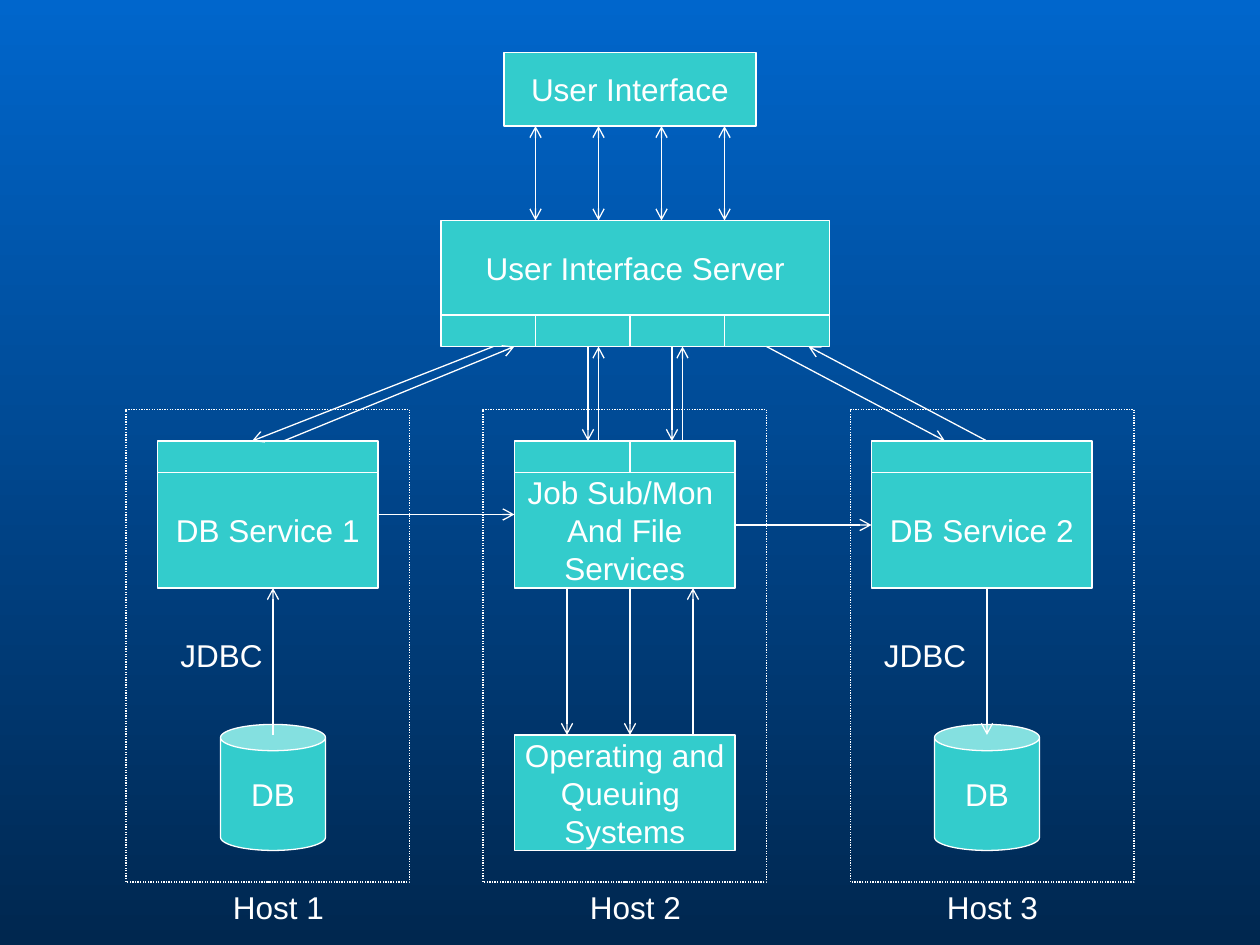
"""Build a slide of a three-host service architecture."""
from lxml.etree import SubElement
from pptx import Presentation
from pptx.dml.color import RGBColor
from pptx.enum.dml import MSO_LINE as DASH
from pptx.enum.shapes import MSO_CONNECTOR as CONN, MSO_SHAPE as SHAPE
from pptx.enum.text import MSO_ANCHOR as ANCHOR, PP_ALIGN as ALIGN
from pptx.oxml.ns import qn
from pptx.util import Pt

rgb = RGBColor.from_string
WHITE, TEAL = "FFFFFF", "33CCCC"

prs = Presentation()
prs.slide_width, prs.slide_height = Pt(720), Pt(540)
slide = prs.slides.add_slide(prs.slide_layouts[6])

bg = slide.background.fill
bg.gradient()
bg.gradient_angle = 270
for stop, pos, color in zip(bg.gradient_stops, (0, 1), ("0066CC", "00274F")):
    stop.position = pos
    stop.color.rgb = rgb(color)


def add_box(x, y, w, h, text="", kind=SHAPE.RECTANGLE):
    at = Pt(x), Pt(y), Pt(w), Pt(h)
    if kind is None:
        s = slide.shapes.add_textbox(*at)
    else:
        s = slide.shapes.add_shape(kind, *at)
        s.shadow.inherit = False
        s.fill.solid()
        s.fill.fore_color.rgb = rgb(TEAL)
        s.line.color.rgb = rgb(WHITE)
        s.line.width = Pt(0.75)
    if text:
        tf = s.text_frame
        tf.word_wrap = kind is None
        tf.vertical_anchor = ANCHOR.TOP if kind is None else ANCHOR.MIDDLE
        for i, line in enumerate(text.split("\n")):
            p = tf.paragraphs[0] if i == 0 else tf.add_paragraph()
            p.alignment = ALIGN.LEFT if kind is None else ALIGN.CENTER
            r = p.add_run()
            r.text = line
            r.font.name = "Arial"
            r.font.size = Pt(18)
            r.font.color.rgb = rgb(WHITE)
    return s


def add_arrow(x1, y1, x2, y2, ends=("tailEnd",)):
    c = slide.shapes.add_connector(CONN.STRAIGHT, Pt(x1), Pt(y1), Pt(x2), Pt(y2))
    c.line.color.rgb = rgb(WHITE)
    c.line.width = Pt(0.75)
    for end in ends:
        SubElement(c.line._get_or_add_ln(), qn(f"a:{end}"), type="arrow")
    SubElement(c._element.spPr, qn("a:effectLst"))
    return c


add_box(288, 30, 144, 42, "User Interface")
add_box(252, 126, 222, 54, "User Interface Server")
for x, w in ((252, 54), (306, 54), (360, 54), (414, 60)):
    add_box(x, 180, w, 18)

services = ("DB Service 1", "Job Sub/Mon \nAnd File\nServices", "DB Service 2")
for i, service in enumerate(services):
    add_box(90 + 204 * i, 270, 126, 66, service)
for x, w in ((90, 126), (294, 66), (498, 126)):
    add_box(x, 252, w, 18)
job_port = add_box(360, 252, 60, 18)

add_box(294, 420, 126, 66, "Operating and\nQueuing \nSystems")
for x in (126, 534):
    add_box(x, 414, 60, 72, "DB", SHAPE.CAN)

for i in range(4):
    add_arrow(306 + 36 * i, 72, 306 + 36 * i, 126, ("headEnd", "tailEnd"))
for x1, x2 in ((282, 144), (336, 336), (384, 384), (438, 540)):
    add_arrow(x1, 198, x2, 252)
for x1, x2 in ((162, 294), (342, 342), (564, 462)):
    add_arrow(x1, 252, x2, 198)
add_arrow(390, 252, 390, 198).begin_connect(job_port, 0)
add_arrow(216, 294, 294, 294)
add_arrow(420, 300, 498, 300)
for x in (324, 360, 564):
    add_arrow(x, 336, x, 420)
for x in (156, 396):
    add_arrow(x, 420, x, 336)

for i, x in enumerate((72, 276, 486)):
    s = add_box(x, 234, 162, 270)
    s.fill.background()
    s.line.dash_style = DASH.ROUND_DOT
    add_box(126 + 204 * i, 504, 70, 29, f"Host {i + 1}", None)
for x in (96, 498):
    add_box(x, 360, 65, 29, "JDBC", None)

prs.save("out.pptx")
